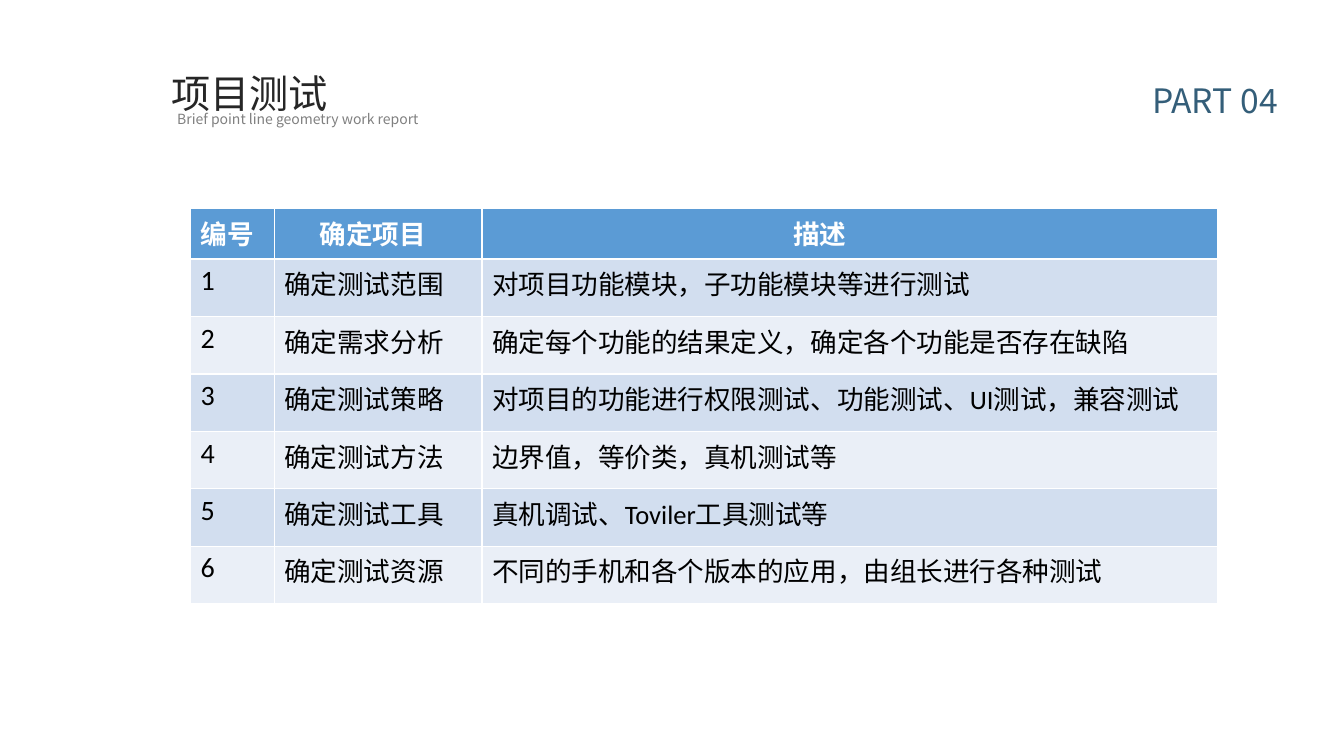
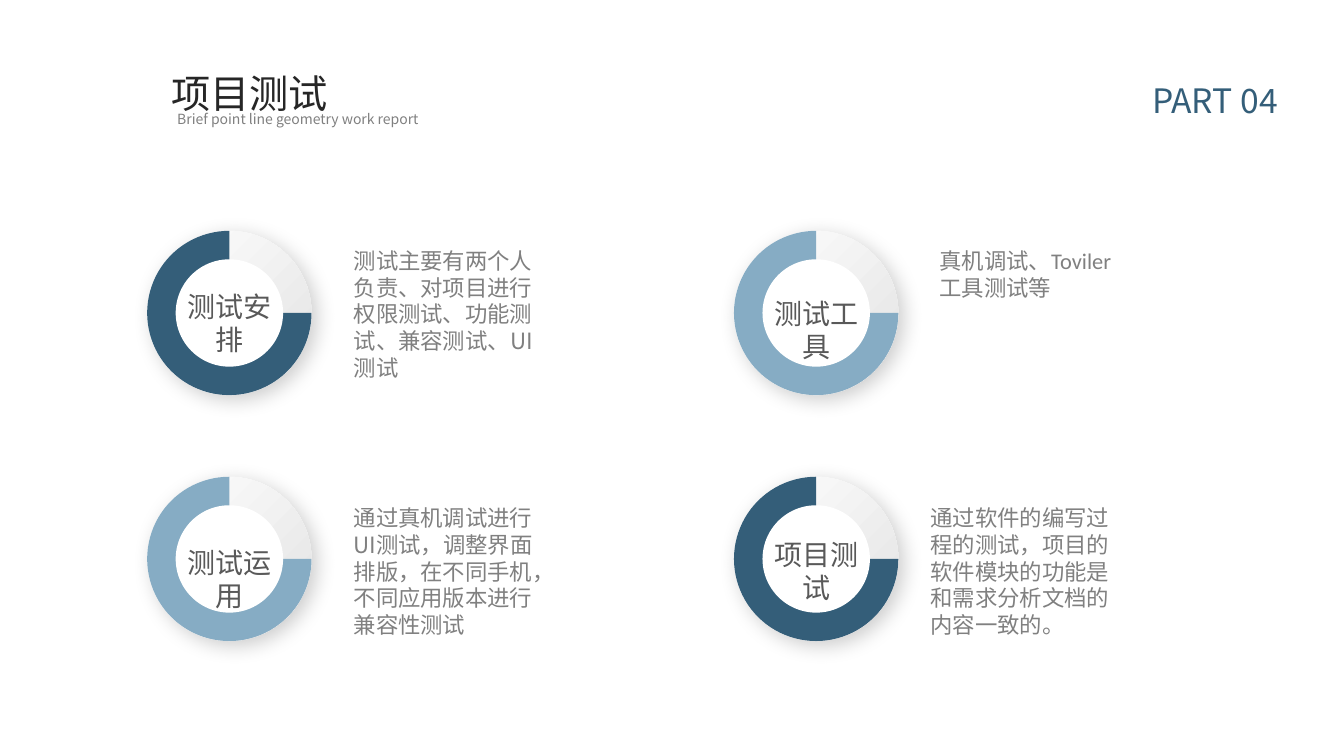
from pptx import Presentation
from pptx.dml.color import RGBColor as Rgb
from pptx.enum.shapes import MSO_SHAPE as Geo
from pptx.enum.text import PP_ALIGN as Align
from pptx.oxml import parse_xml
from pptx.oxml.ns import nsdecls, qn
from pptx.util import Inches, Pt

HUES = {
    "navy": "345E79", "sky": "86ACC4", "title": "262626", "label": "595959",
    "grey": "808080", "pale": "E2E2E2", "white": "FFFFFF", "black": "000000",
    "head": "5B9BD5", "odd": "D2DEEF", "even": "EAEFF7",
}
SANS, LATIN = "Noto Sans CJK SC", "Calibri"

COLS = [0.83, 2.06, 7.3]
HEADS = [("编号", 0.1), ("确定项目", 0.45), ("描述", 3.09)]
ROWS = [
    ("确定测试范围", "对项目功能模块，子功能模块等进行测试"),
    ("确定需求分析", "确定每个功能的结果定义，确定各个功能是否存在缺陷"),
    ("确定测试策略", "对项目的功能进行权限测试、功能测试、UI测试，兼容测试"),
    ("确定测试方法", "边界值，等价类，真机测试等"),
    ("确定测试工具", "真机调试、Toviler工具测试等"),
    ("确定测试资源", "不同的手机和各个版本的应用，由组长进行各种测试"),
]
CARDS = [
    ("测试安排", 0.53, "navy", SANS, (1.95, 0.11, 2.03, 1.45),
     "测试主要有两个人负责、对项目进行权限测试、功能测试、兼容测试、UI测试"),
    ("测试工具", 0.6, "sky", LATIN, (1.94, 0.11, 2.03, 0.64),
     "真机调试、Toviler工具测试等"),
    ("测试运用", 0.63, "sky", SANS, (1.95, 0.22, 2.03, 1.45),
     "通过真机调试进行UI测试，调整界面排版，在不同手机，不同应用版本进行兼容性测试"),
    ("项目测试", 0.55, "navy", LATIN, (1.85, 0.22, 2.12, 1.45),
     "通过软件的编写过程的测试，项目的软件模块的功能是和需求分析文档的内容一致的。"),
]


def hue(name):
    """Return the named colour."""
    return Rgb.from_string(HUES[name])


def add_run(para, text, size, color, face=SANS, bold=False):
    """Add one styled run with Latin and East Asian fonts."""
    run = para.add_run()
    run.text = text
    font = run.font
    font.size, font.bold, font.name = Pt(size), bold, face
    font.color.rgb = hue(color)
    east = parse_xml(f'<a:ea {nsdecls("a")} typeface="{SANS}"/>')
    font._element.find(qn("a:latin")).addnext(east)


def add_text(slide, box, text, size, color, face=SANS, align=Align.LEFT,
             space=None, wrap=True):
    """Add a text box of one paragraph."""
    frame = slide.shapes.add_textbox(*map(Inches, box)).text_frame
    frame.word_wrap = wrap
    para = frame.paragraphs[0]
    para.alignment, para.line_spacing = align, space
    add_run(para, text, size, color, face)


def add_header(slide):
    """Place the title, subtitle and part mark that slides share."""
    add_text(slide, (11.18, 0.66, 1.74, 0.53), "PART 04", 24, "navy",
             align=Align.CENTER, space=1.2)
    add_text(slide, (1.66, 1.05, 2.6, 0.27),
             "Brief point line geometry work report", 10, "grey", wrap=False)
    add_text(slide, (1.6, 0.54, 3.14, 0.62), "项目测试", 28, "title", space=1.2)


def fill_cell(cell, text, size, fill, color="black", bold=False, left=0.1):
    """Fill one table cell."""
    cell.fill.solid()
    cell.fill.fore_color.rgb = hue(fill)
    cell.margin_left = Inches(left)
    add_run(cell.text_frame.paragraphs[0], text, size, color, LATIN, bold)


def add_plan(slide, left, top):
    """Place the test plan table."""
    count = len(ROWS) + 1
    box = map(Inches, (left, top, sum(COLS), 0.5 + 0.57 * len(ROWS)))
    table = slide.shapes.add_table(count, len(COLS), *box).table
    for col, width in zip(table.columns, COLS):
        col.width = Inches(width)
    for num, row in enumerate(table.rows):
        row.height = Inches(0.57 if num else 0.5)
    for col, (text, pad) in enumerate(HEADS):
        fill_cell(table.cell(0, col), text, 19, "head", "white", True, pad)
    for num, row in enumerate(ROWS, 1):
        for col, text in enumerate((str(num), *row)):
            fill_cell(table.cell(num, col), text, 19 if col else 20,
                      "odd" if num % 2 else "even")


def add_disc(slide, geo, left, top, size):
    """Add a round shape with no line and no shadow."""
    disc = slide.shapes.add_shape(geo, *map(Inches, (left, top, size, size)))
    disc.shadow.inherit = False
    disc.line.fill.background()
    return disc


def add_ring(slide, left, top, color):
    """Place a three-quarter ring on a shaded disc."""
    base = add_disc(slide, Geo.OVAL, left, top, 1.63)
    base.fill.gradient()
    base.fill.gradient_angle = 315
    for stop, name, pos in zip(base.fill.gradient_stops, ("white", "pale"), (0, 1)):
        stop.color.rgb, stop.position = hue(name), pos
    base._element.spPr.find(qn("a:effectLst")).append(parse_xml(
        f'<a:outerShdw {nsdecls("a")} blurRad="{Pt(15)}" dist="{Pt(5)}" '
        f'dir="2700000" algn="tl" rotWithShape="0"><a:srgbClr val="{HUES["black"]}">'
        '<a:alpha val="20000"/></a:srgbClr></a:outerShdw>'))
    arc = add_disc(slide, Geo.PIE, left, top, 1.63)
    arc.fill.solid()
    arc.fill.fore_color.rgb = hue(color)
    hole = add_disc(slide, Geo.OVAL, left + 0.31, top + 0.31, 1.01)
    hole.fill.solid()
    hole.fill.fore_color.rgb = hue("white")
    hole.line.color.rgb = hue("white")
    hole.line.width = Pt(4)


def add_card(slide, left, top, card):
    """Place a ring with its label and description."""
    label, drop, color, face, (dx, dy, wide, high), body = card
    add_ring(slide, left, top, color)
    add_text(slide, (left + 0.22, top + drop, 1.19, 0.77), label, 20, "label",
             align=Align.CENTER)
    add_text(slide, (left + dx, top + dy, wide, high), body, 16, "grey", face)


def main():
    """Build and save both slides."""
    deck = Presentation()
    deck.slide_width, deck.slide_height = Inches(13.33), Inches(7.5)
    plan, rings = (deck.slides.add_slide(deck.slide_layouts[6]) for _ in range(2))
    for slide in (plan, rings):
        add_header(slide)
    add_plan(plan, 1.89, 2.07)
    for num, card in enumerate(CARDS):
        row, col = divmod(num, 2)
        add_card(rings, 1.46 + 5.82 * col, 2.29 + 2.44 * row, card)
    deck.save("out.pptx")


if __name__ == "__main__":
    main()
